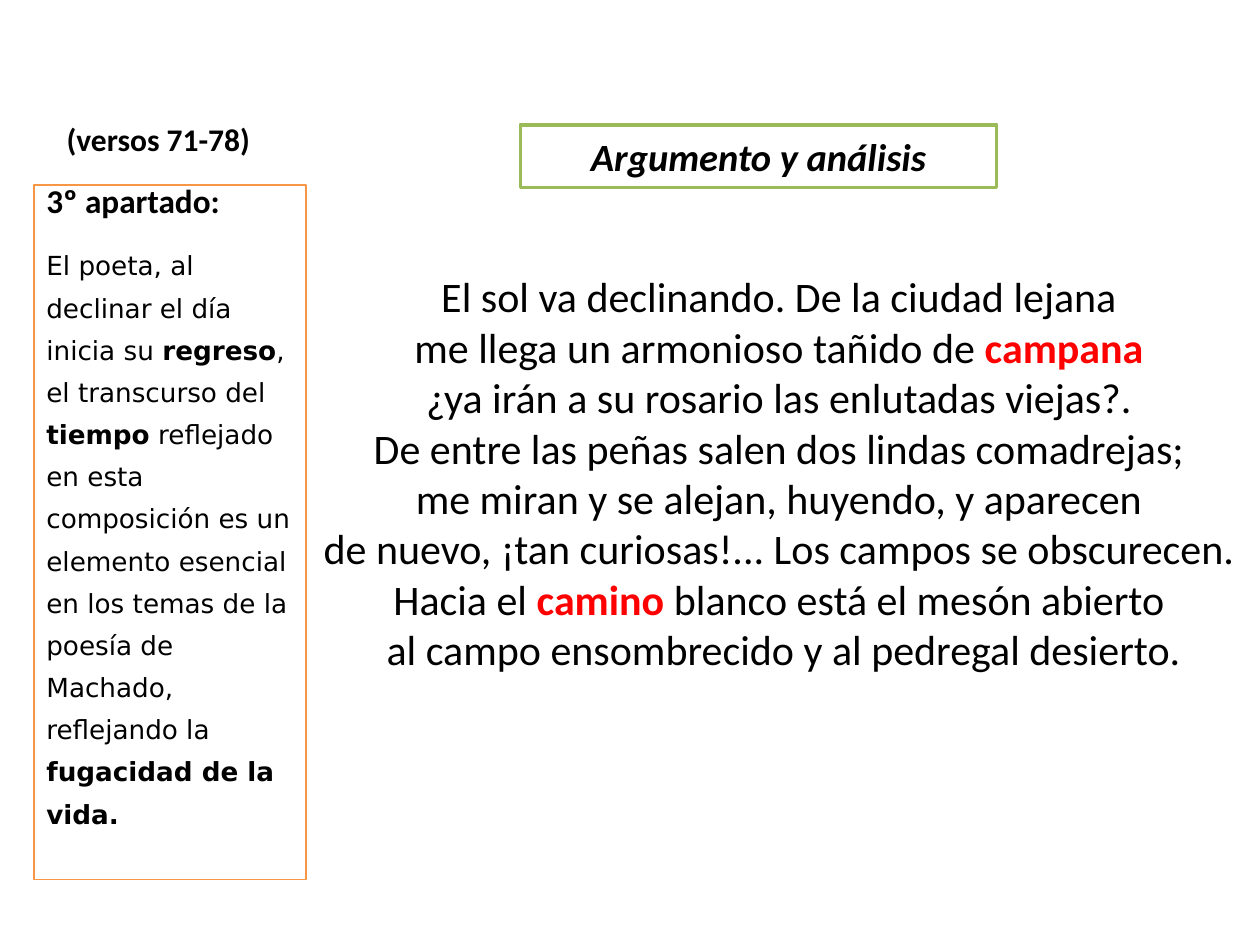
from pptx import Presentation
from pptx.dml.color import RGBColor
from pptx.enum.shapes import MSO_SHAPE as Shape
from pptx.enum.text import MSO_ANCHOR as Anchor, MSO_AUTO_SIZE as AutoSize, PP_ALIGN as Align
from pptx.util import Inches, Pt

BLACK, WHITE, RED, GREEN, ORANGE = "000000", "FFFFFF", "FF0000", "9BBB59", "F79646"

# Text between asterisks is emphasised
POEM = [
    "El sol va declinando. De la ciudad lejana ",
    "me llega un armonioso tañido de *campana *",
    "¿ya irán a su rosario las enlutadas viejas?. ",
    "De entre las peñas salen dos lindas comadrejas; ",
    "me miran y se alejan, huyendo, y aparecen ",
    "de nuevo, ¡tan curiosas!... Los campos se obscurecen. ",
    "Hacia el *camino* blanco está el mesón abierto ",
    "al campo ensombrecido y al pedregal desierto.",
]
COMMENTARY = (
    "El poeta, al declinar el día inicia su *regreso*, el transcurso del *tiempo* "
    "reflejado en esta composición es un elemento esencial en los temas de la "
    "poesía de Machado, reflejando la *fugacidad de la vida.*"
)


def rgb(value):
    return RGBColor.from_string(value)


def place(shape, box):
    for side, length in zip(("left", "top", "width", "height"), box):
        setattr(shape, side, Inches(length))


def set_all(target, formats):
    for name, value in formats.items():
        setattr(target, name, value)


def paint(shape, line=None, width=1):
    shape.fill.solid()
    shape.fill.fore_color.rgb = rgb(WHITE)
    if line:
        shape.line.color.rgb = rgb(line)
        shape.line.width = Pt(width)


def frame_text(shape, anchor):
    frame = shape.text_frame
    set_all(frame, {"word_wrap": True, "auto_size": AutoSize.NONE, "vertical_anchor": anchor})
    return frame


def write(paragraph, text, font, size, color=BLACK, emphasis=BLACK, **formats):
    for index, part in enumerate(text.split("*")):
        if part:
            run = paragraph.add_run()
            run.text = part
            strong = index % 2 == 1
            run.font.color.rgb = rgb(emphasis if strong else color)
            set_all(run.font, {"name": font, "size": Pt(size), "bold": strong, **formats})


def add_heading(slide, box):
    heading = slide.shapes.title
    place(heading, box)
    paint(heading, GREEN, 2)
    paragraph = frame_text(heading, Anchor.MIDDLE).paragraphs[0]
    paragraph.alignment = Align.CENTER
    write(paragraph, "*Argumento y análisis*", "Calibri", 22, italic=True)


def add_verse_range(slide, box):
    verse_range = slide.shapes.add_textbox(*map(Inches, box))
    paragraph = frame_text(verse_range, Anchor.TOP).paragraphs[0]
    write(paragraph, "*(versos 71-78)*", "Calibri", 18)


def add_commentary(slide, box):
    panel = slide.shapes.add_shape(Shape.RECTANGLE, *map(Inches, box))
    panel.shadow.inherit = False
    paint(panel, ORANGE)
    frame = frame_text(panel, Anchor.TOP)
    frame.margin_top = Inches(0.07)

    # Section label
    label = frame.paragraphs[0]
    set_all(label, {"alignment": Align.LEFT, "line_spacing": 0.6})
    write(label, "*3º apartado:*", "Calibri", 19)

    # Explanation
    body = frame.add_paragraph()
    set_all(body, {"alignment": Align.LEFT, "line_spacing": 1.34, "space_before": Pt(12)})
    write(body, COMMENTARY, "DejaVu Sans", 15)


def add_poem(slide, box):
    poem = slide.placeholders[1]
    place(poem, box)
    paint(poem)
    paragraph = frame_text(poem, Anchor.TOP).paragraphs[0]
    set_all(paragraph, {"alignment": Align.CENTER, "space_before": Pt(0)})
    for index, verse in enumerate(POEM):
        if index:
            paragraph.add_line_break()
        write(paragraph, verse, "Calibri", 24, emphasis=RED)


def main():
    deck = Presentation()
    set_all(deck, {"slide_width": Inches(10), "slide_height": Inches(7.5)})
    slide = deck.slides.add_slide(deck.slide_layouts[0])
    add_poem(slide, (2.44, 2.1, 7.56, 4.73))
    add_heading(slide, (4.13, 0.99, 3.78, 0.5))
    add_commentary(slide, (0.27, 1.47, 2.16, 5.51))
    add_verse_range(slide, (0.43, 0.9, 1.73, 0.4))
    deck.save("out.pptx")


if __name__ == "__main__":
    main()
